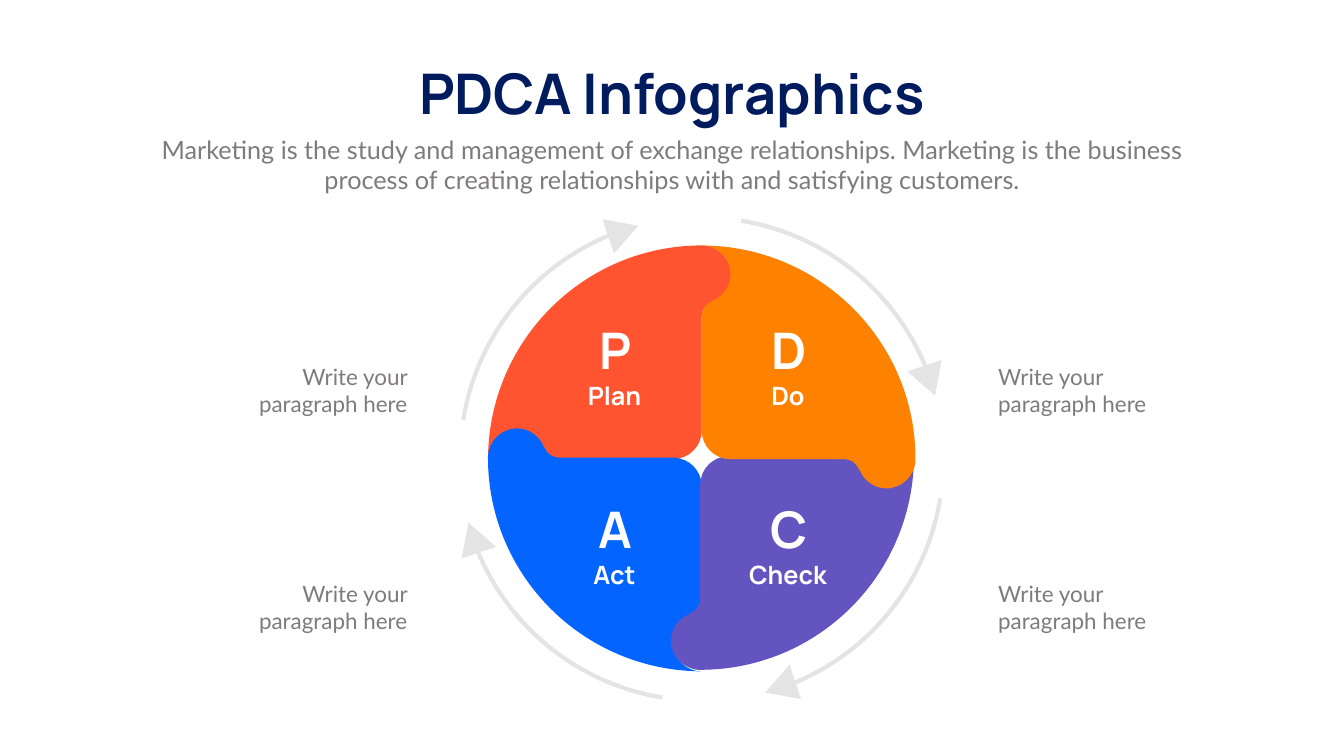
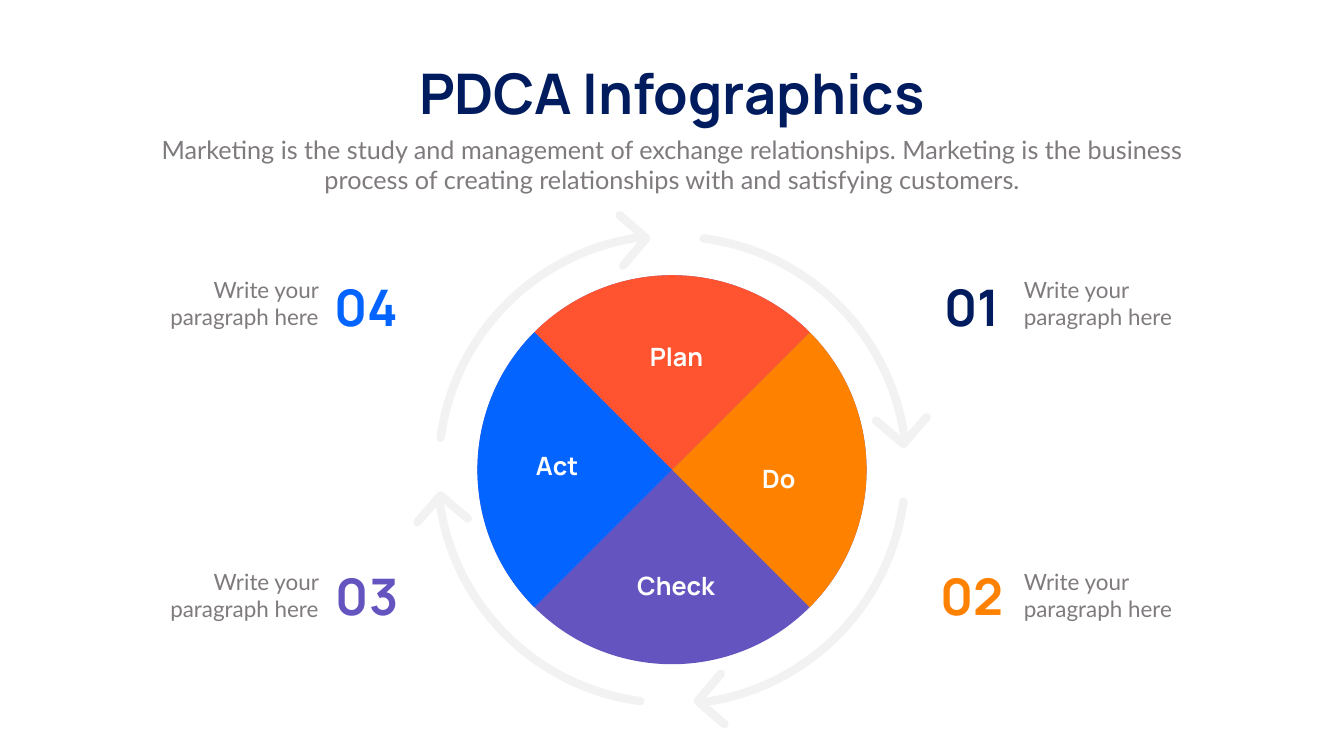
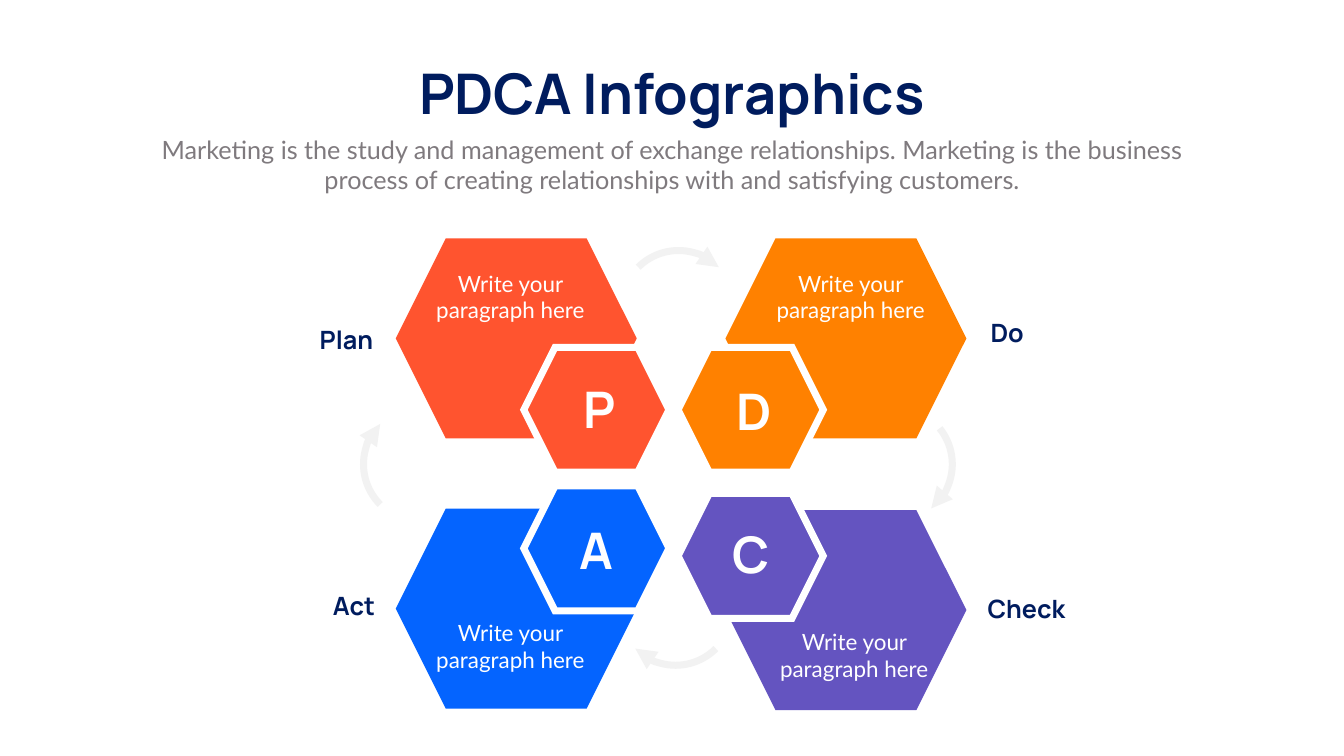
from dataclasses import dataclass

from lxml.etree import SubElement
from pptx import Presentation
from pptx.dml.color import RGBColor
from pptx.enum.shapes import MSO_SHAPE as Preset
from pptx.enum.text import MSO_AUTO_SIZE as AutoSize, PP_ALIGN as Align
from pptx.oxml.ns import qn
from pptx.util import Pt

PX = 9144  # EMU per px, 100 px to the inch
WIDTH, HEIGHT = 2666, 1500


@dataclass(frozen=True)
class Theme:
    navy: str = "001C5E"
    gray: str = "7F7A7E"
    white: str = "FFFFFF"
    plan: str = "FF542F"
    do: str = "FF8100"
    check: str = "6454C0"
    act: str = "0464FF"
    ring: str = "E5E4E5"
    pale_ring: str = "F2F2F2"
    heading_font: str = "Manrope"
    body_font: str = "Lato"
    title: int = 80
    letter: int = 72
    label: int = 36
    body: int = 32


THEME = Theme()
TITLE = "PDCA Infographics"
INTRO = ("Marketing is the study and management of exchange relationships. "
         "Marketing is the business process of creating relationships with "
         "and satisfying customers.")
BODY = "Write your paragraph here"


def turn(path, quarters):
    """Rotate a path clockwise about the centre by quarter turns."""
    for _ in range(quarters):
        path = [tuple(number for x, y in zip(segment[::2], segment[1::2])
                      for number in (-y, x)) for segment in path]
    return path


# Paths are offsets from a centre: (x, y) is a line, six numbers are a curve
PETAL = [(58, -366), (58, -343, 43, -322, 21, -313), (20, -312),
         (8, -307, 0, -296, 0, -283), (0, -57), (0, -25, -26, 0, -57, 0),
         (-283, 0), (-296, 0, -307, -7, -313, -19),
         (-325, -50, -358, -65, -388, -53), (-409, -45, -423, -25, -424, -2),
         (-422, -236, -233, -424, 0, -424), (3, -424),
         (34, -422, 58, -397, 58, -366)]
RING_ARC = [(-473, -78), (-446, -245, -333, -385, -176, -447)]
RING_HEAD = [(-174, -408), (-126, -463), (-197, -476)]
QUARTER = [(-386, 0), (-386, -213, -213, -386, 0, -386)]
DISC = QUARTER[:1] + [turn(QUARTER, quarters)[1] for quarters in range(4)]
PIE_SLICE = [(193, -80), (-193, -80), (-193, -293, -20, -466, 193, -466)]
PALE_ARC = [(462, -57), (436, -265, 273, -431, 63, -459)]
PALE_HEAD = [(505, -104), (459, -51), (405, -97)]


class Deck:
    def __init__(self, theme):
        self.theme = theme
        self.presentation = Presentation()
        self.presentation.slide_width = WIDTH * PX
        self.presentation.slide_height = HEIGHT * PX
        self.slide = None

    def new_slide(self):
        self.slide = self.presentation.slides.add_slide(self.presentation.slide_layouts[6])

    def header(self):
        theme = self.theme
        self.heading(TITLE, (783, 112, 1100, 145), theme.title, theme.navy, wrap=False)
        self.text(INTRO, (292, 261, 2082, 131), theme.body_font, theme.label, theme.gray)

    def text(self, text, box, font, size, color, align=Align.CENTER, bold=False, wrap=True):
        shape = self.slide.shapes.add_textbox(*(length * PX for length in box))
        frame = shape.text_frame
        frame.word_wrap = wrap
        frame.auto_size = AutoSize.SHAPE_TO_FIT_TEXT
        paragraph = frame.paragraphs[0]
        paragraph.text = text
        paragraph.alignment = align
        paragraph.font.name = font
        paragraph.font.size = Pt(size)
        paragraph.font.bold = bold
        paragraph.font.color.rgb = RGBColor.from_string(color)

    def heading(self, text, box, size, color, align=Align.CENTER, wrap=True):
        self.text(text, box, self.theme.heading_font, size, color, align, True, wrap)

    def letter(self, text, left, top, color, align=Align.CENTER):
        self.heading(text, (left, top, 149, 131), self.theme.letter, color, align)

    def label(self, text, left, top, color, align=Align.CENTER, width=236):
        self.heading(text, (left, top, width, 71), self.theme.label, color, align)

    def body(self, left, top, width, color, align):
        self.text(BODY, (left, top, width, 118), self.theme.body_font,
                  self.theme.body, color, align)

    def paint(self, shape, fill=None, line=None, weight=0):
        shape.shadow.inherit = False
        if fill:
            shape.fill.solid()
            shape.fill.fore_color.rgb = RGBColor.from_string(fill)
        else:
            shape.fill.background()
        if line:
            shape.line.color.rgb = RGBColor.from_string(line)
            shape.line.width = Pt(weight)
        else:
            shape.line.fill.background()
        return shape

    def stroke_part(self, shape, tag, **attributes):
        SubElement(shape.line._get_or_add_ln(), qn(tag), **attributes)

    def preset(self, kind, box, rotation=0, **style):
        shape = self.slide.shapes.add_shape(kind, *(length * PX for length in box))
        shape.rotation = rotation
        return self.paint(shape, **style)

    def outline(self, path, center, quarters=0, **style):
        segments = [[((center[0] + x) * PX, (center[1] + y) * PX)
                     for x, y in zip(segment[::2], segment[1::2])]
                    for segment in turn(path, quarters)]
        builder = self.slide.shapes.build_freeform(*segments[0][0], scale=1.0)
        builder.add_line_segments([segment[-1] for segment in segments[1:]],
                                  close="fill" in style)
        shape = builder.convert_to_shape()

        # Bend the lines that stand for curves
        lines = list(shape._element.iter(qn("a:lnTo")))
        for line, points in zip(lines, segments[1:]):
            if len(points) == 3:
                line.tag = qn("a:cubicBezTo")
                line.remove(line[0])
                for x, y in points:
                    SubElement(line, qn("a:pt"), x=str(x - shape.left), y=str(y - shape.top))
        return self.paint(shape, **style)

    def round_stroke(self, path, center, quarters, color, weight):
        shape = self.outline(path, center, quarters, line=color, weight=weight)
        shape.line._get_or_add_ln().set("cap", "rnd")
        self.stroke_part(shape, "a:round")

    def hexagon(self, left, top, width, height, color):
        return self.preset(Preset.HEXAGON, (left, top, width, height), fill=color)

    def framed_hexagon(self, left, top, color):
        shape = self.hexagon(left, top, 288, 248, color)
        self.paint(shape, fill=color, line=self.theme.white, weight=10)
        self.stroke_part(shape, "a:miter", lim="800000")

    def arc_arrow(self, left, top, rotation):
        shape = self.preset(Preset.ARC, (left, top, 226, 226), rotation,
                            line=self.theme.pale_ring, weight=10)
        self.stroke_part(shape, "a:tailEnd", type="triangle")


def petal_slide(deck):
    theme = deck.theme
    deck.new_slide()
    deck.header()
    center = (1392, 911)

    # Interlocking petals
    for color, quarters, petal_center in (
            (theme.plan, 0, center), (theme.act, 3, (1392, 908)),
            (theme.check, 2, (1389, 905)), (theme.do, 1, center)):
        deck.outline(PETAL, petal_center, quarters, fill=color)

    # Arrows around the wheel
    for quarters in (0, 3, 2, 1):
        deck.outline(RING_ARC, center, quarters, line=theme.ring, weight=6)
        deck.outline(RING_HEAD, center, quarters, fill=theme.ring)

    # Names and side notes
    for name, column, row in (("Plan", 0, 0), ("Do", 1, 0), ("Act", 0, 1), ("Check", 1, 1)):
        left, top = 1101 + 344 * column, 628 + 356 * row
        deck.letter(name[0], left + 45, top, theme.white)
        deck.label(name, left, top + 121, theme.white)
        deck.body((435, 1970)[column], 716 + 430 * row, 383, theme.gray,
                  (Align.RIGHT, Align.LEFT)[column])


def pie_slide(deck):
    theme = deck.theme
    deck.new_slide()
    deck.header()
    center = (1333, 932)

    # Arrows around the pie
    for quarters in (0, 3, 2, 1):
        for path in (PALE_ARC, PALE_HEAD):
            deck.round_stroke(path, center, quarters, theme.pale_ring, 12)

    # Full disc for Check, with the other three quarters on top
    deck.outline(DISC, center, fill=theme.check).rotation = 45
    for color, quarters in ((theme.do, 1), (theme.plan, 0), (theme.act, 3)):
        deck.outline(PIE_SLICE, center, quarters, fill=color).rotation = 45
    for name, left, top in (("Plan", 1224, 672), ("Do", 1427, 914),
                            ("Act", 987, 889), ("Check", 1223, 1126)):
        deck.label(name, left, top, theme.white)

    # Numbered notes
    left_side = (309, 651, Align.RIGHT, Align.RIGHT)
    right_side = (2021, 1854, Align.LEFT, Align.CENTER)
    for number, color, side, body_top, number_top in (
            ("01", theme.navy, right_side, 543, 543),
            ("02", theme.do, right_side, 1122, 1116),
            ("04", theme.act, left_side, 543, 543),
            ("03", theme.check, left_side, 1122, 1116)):
        body_left, number_left, body_align, number_align = side
        deck.body(body_left, body_top, 333, theme.gray, body_align)
        deck.letter(number, number_left, number_top, color, number_align)


def hexagon_slide(deck):
    theme = deck.theme
    deck.new_slide()
    steps = (  # name, colour, then places of big, small, letter, label, note
        ("Plan", theme.plan, (785, 473), (1039, 689), (1114, 745), (582, 639), (842, 530)),
        ("Do", theme.do, (1439, 473), (1345, 689), (1422, 749), (1955, 625), (1517, 530)),
        ("Check", theme.check, (1439, 1012), (1345, 979), (1415, 1032), (1949, 1172), (1524, 1242)),
        ("Act", theme.act, (785, 1009), (1039, 964), (1108, 1025), (586, 1166), (842, 1224)),
    )

    # Large hexagons lie behind the header
    for _, color, big, *_ in steps:
        deck.hexagon(*big, 478, 397, color)
    deck.header()

    # Small hexagon and texts of each step
    for name, color, _, small, letter, label, note in steps:
        deck.framed_hexagon(*small, color)
        deck.letter(name[0], *letter, theme.white)
        on_left = label[0] < WIDTH / 2
        deck.label(name, *label, theme.navy, Align.RIGHT if on_left else Align.LEFT,
                   168 if on_left else 191)
        deck.body(*note, 341, theme.white, Align.CENTER)

    # Arrows between the steps
    for arrow in ((1233, 497, 315), (1663, 808, 51), (1227, 1094, 135), (721, 808, 225)):
        deck.arc_arrow(*arrow)


def main():
    deck = Deck(THEME)
    petal_slide(deck)
    pie_slide(deck)
    hexagon_slide(deck)
    deck.presentation.save("out.pptx")


if __name__ == "__main__":
    main()
